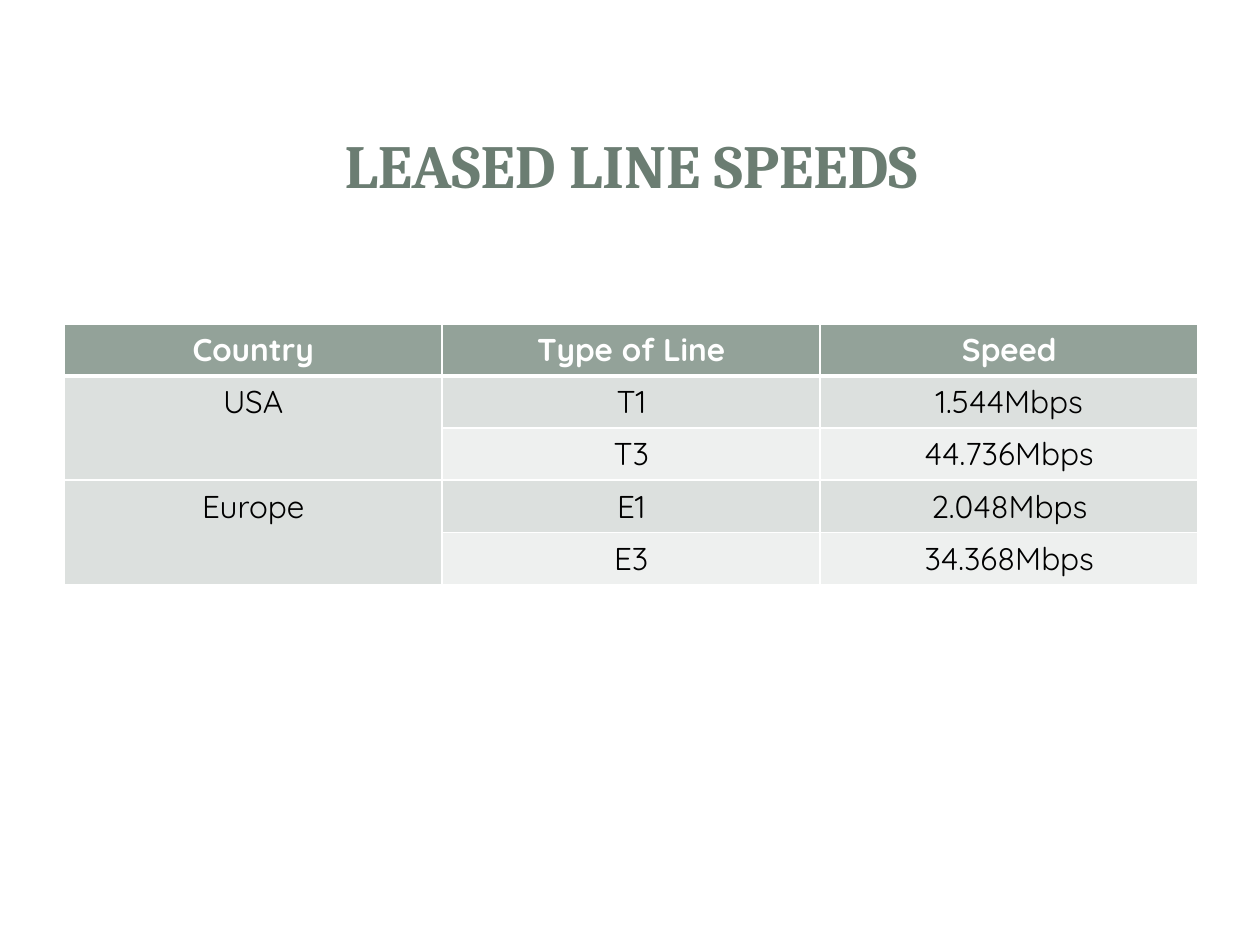
import pptx
import pptx.util
import pptx.dml.color
import pptx.enum.shapes
import pptx.enum.text
import pptx.oxml.ns
import lxml.etree

Inches = pptx.util.Inches
Pt = pptx.util.Pt
qn = pptx.oxml.ns.qn
SHAPE = pptx.enum.shapes.MSO_SHAPE
CENTER = pptx.enum.text.PP_ALIGN.CENTER
MIDDLE = pptx.enum.text.MSO_ANCHOR.MIDDLE

TITLE = "LEASED LINE SPEEDS"
HEADINGS = ("Country", "Type of Line", "Speed")
COUNTRIES = {
    "USA": [("T1", "1.544Mbps"), ("T3", "44.736Mbps")],
    "Europe": [("E1", "2.048Mbps"), ("E3", "34.368Mbps")],
}
PANELS = (
    (SHAPE.ROUNDED_RECTANGLE, (0.1, 0.11, 9.8, 7.29), 100),
    (SHAPE.RECTANGLE, (0.3, 0.3, 9.4, 1.45), 83),
    (SHAPE.RECTANGLE, (0.41, 0.41, 9.17, 1.22), 100),
)
THEME = {
    "panel": "FFFFFF", "rule": "FFFFFF",
    "title": "6B7D72", "header": "93A299", "header_text": "FFFFFF",
    "bands": ("DCE0DE", "EEF0EF"), "text": "000000",
    "title_font": "Cambria", "body_font": "Quicksand",
    "title_size": 35, "body_size": 18,
}
HEADER_BORDERS = {"a:lnL": 1, "a:lnR": 1, "a:lnT": 1, "a:lnB": 3}
BODY_BORDERS = dict.fromkeys(HEADER_BORDERS, 1)
TOP_ROW_BORDERS = {**BODY_BORDERS, "a:lnT": 3}
LEFT, WIDTH = 0.51, 9
TABLE_TOP, ROW_HEIGHT = 2.57, 0.41


def rgb(value):
    return pptx.dml.color.RGBColor.from_string(value)


def style(paragraph, font, size, color, bold):
    paragraph.alignment = CENTER
    paragraph.font.name = font
    paragraph.font.size = Pt(size)
    paragraph.font.color.rgb = rgb(color)
    paragraph.font.bold = bold


def draw_borders(cell, borders):
    properties = cell._tc.get_or_add_tcPr()
    for side, width in borders.items():
        line = lxml.etree.SubElement(properties, qn(side), w=str(Pt(width)))
        fill = lxml.etree.SubElement(line, qn("a:solidFill"))
        lxml.etree.SubElement(fill, qn("a:srgbClr"), val=THEME["rule"])


def fill_cell(cell, text, fill, color, borders, bold=False):
    cell.text = text
    draw_borders(cell, borders)
    cell.fill.solid()
    cell.fill.fore_color.rgb = rgb(fill)
    style(cell.text_frame.paragraphs[0], THEME["body_font"],
          THEME["body_size"], color, bold)


def add_panels(slide):
    for depth, (outline, place, opacity) in enumerate(PANELS, 2):
        panel = slide.shapes.add_shape(outline, *map(Inches, place))
        panel.shadow.inherit = False
        panel.fill.solid()
        panel.fill.fore_color.rgb = rgb(THEME["panel"])
        panel.line.fill.background()
        if outline == SHAPE.ROUNDED_RECTANGLE:
            panel.adjustments[0] = 0.02
        if opacity < 100:
            color = panel.fill._xPr.find(".//" + qn("a:srgbClr"))
            lxml.etree.SubElement(color, qn("a:alpha"), val=str(opacity * 1000))
        slide.shapes._spTree.insert(depth, panel._element)


def add_title(slide):
    title = slide.shapes.title
    title.left, title.top = Inches(LEFT), Inches(0.68)
    title.width, title.height = Inches(WIDTH), Inches(1.25)
    title.text_frame.text = TITLE
    title.text_frame.vertical_anchor = MIDDLE
    style(title.text_frame.paragraphs[0], THEME["title_font"],
          THEME["title_size"], THEME["title"], True)


def add_speeds(slide):
    row_count = 1 + sum(len(lines) for lines in COUNTRIES.values())
    speeds = slide.shapes.add_table(
        row_count, len(HEADINGS), Inches(LEFT), Inches(TABLE_TOP),
        Inches(WIDTH), Inches(ROW_HEIGHT * row_count)).table
    for column, heading in enumerate(HEADINGS):
        fill_cell(speeds.cell(0, column), heading, THEME["header"],
                  THEME["header_text"], HEADER_BORDERS, True)
    row = 1
    for country, lines in COUNTRIES.items():
        country_cell = speeds.cell(row, 0)
        country_cell.merge(speeds.cell(row + len(lines) - 1, 0))
        fill_cell(country_cell, country, THEME["bands"][0], THEME["text"],
                  TOP_ROW_BORDERS if row == 1 else BODY_BORDERS)
        for band, line in enumerate(lines):
            borders = TOP_ROW_BORDERS if row == 1 else BODY_BORDERS
            for column, text in enumerate(line, 1):
                fill_cell(speeds.cell(row, column), text,
                          THEME["bands"][band % 2], THEME["text"], borders)
            row += 1


def main():
    deck = pptx.Presentation()
    deck.slide_width, deck.slide_height = Inches(10), Inches(7.5)
    slide = deck.slides.add_slide(deck.slide_layouts[5])
    add_panels(slide)
    add_title(slide)
    add_speeds(slide)
    deck.save("out.pptx")


if __name__ == "__main__":
    main()
